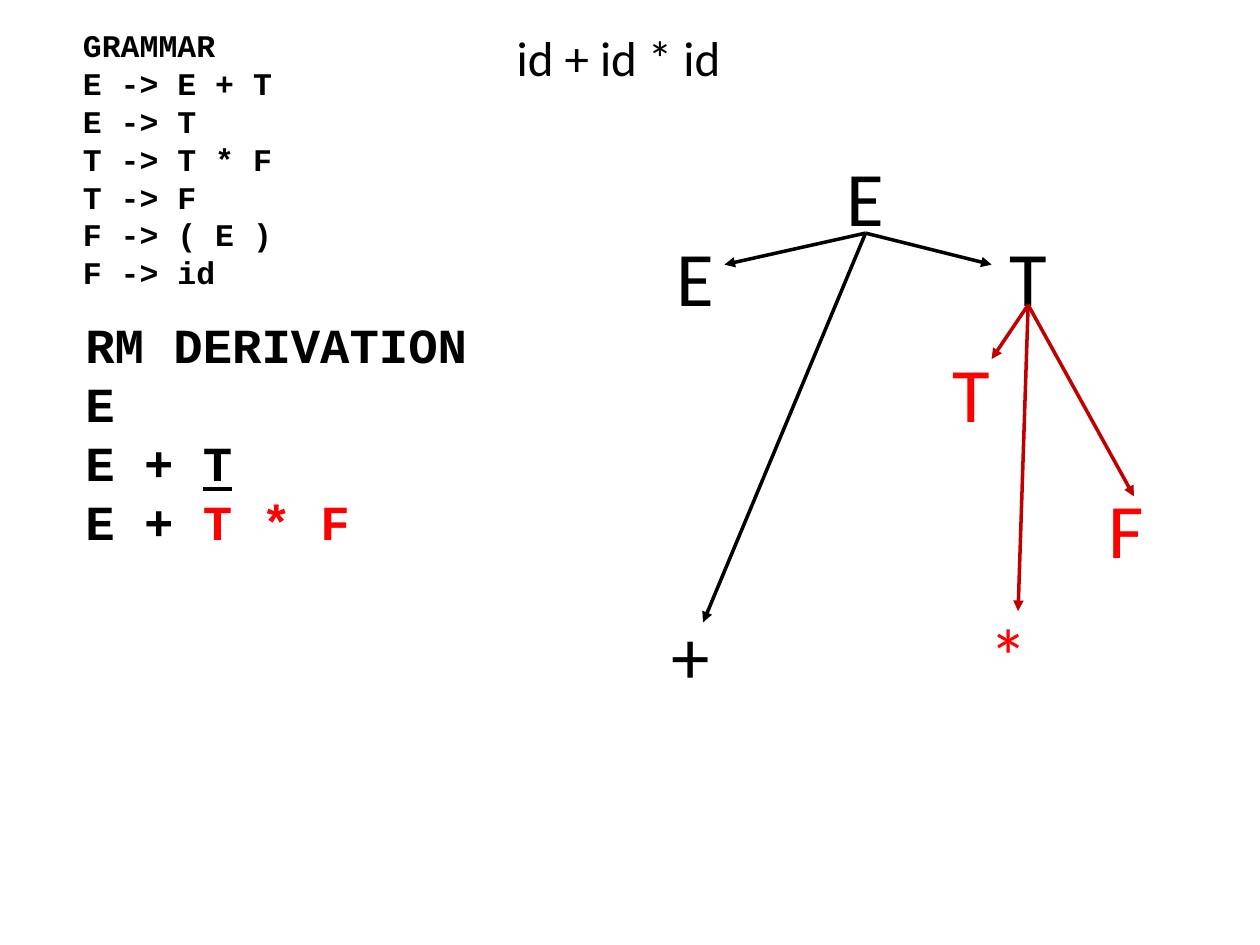
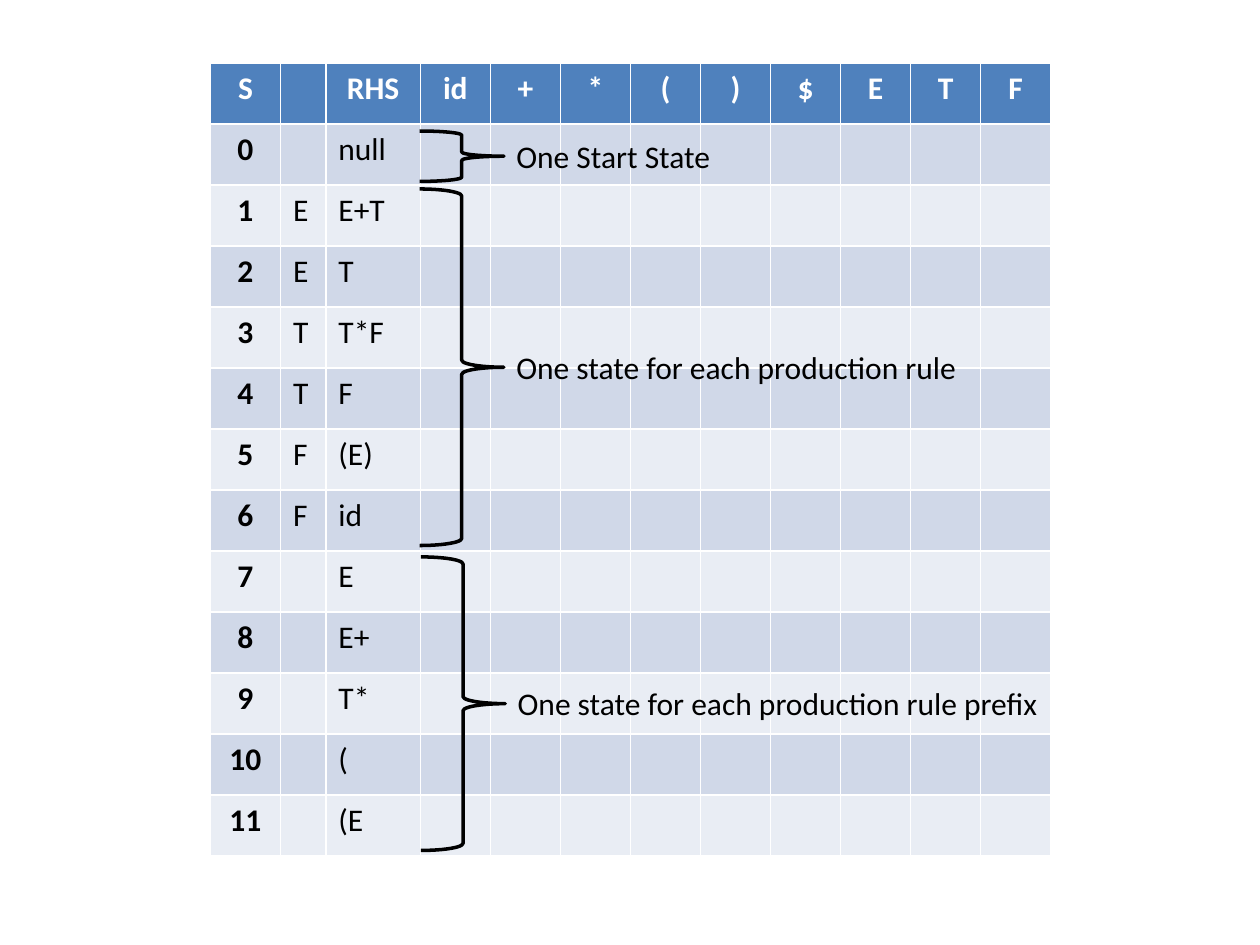
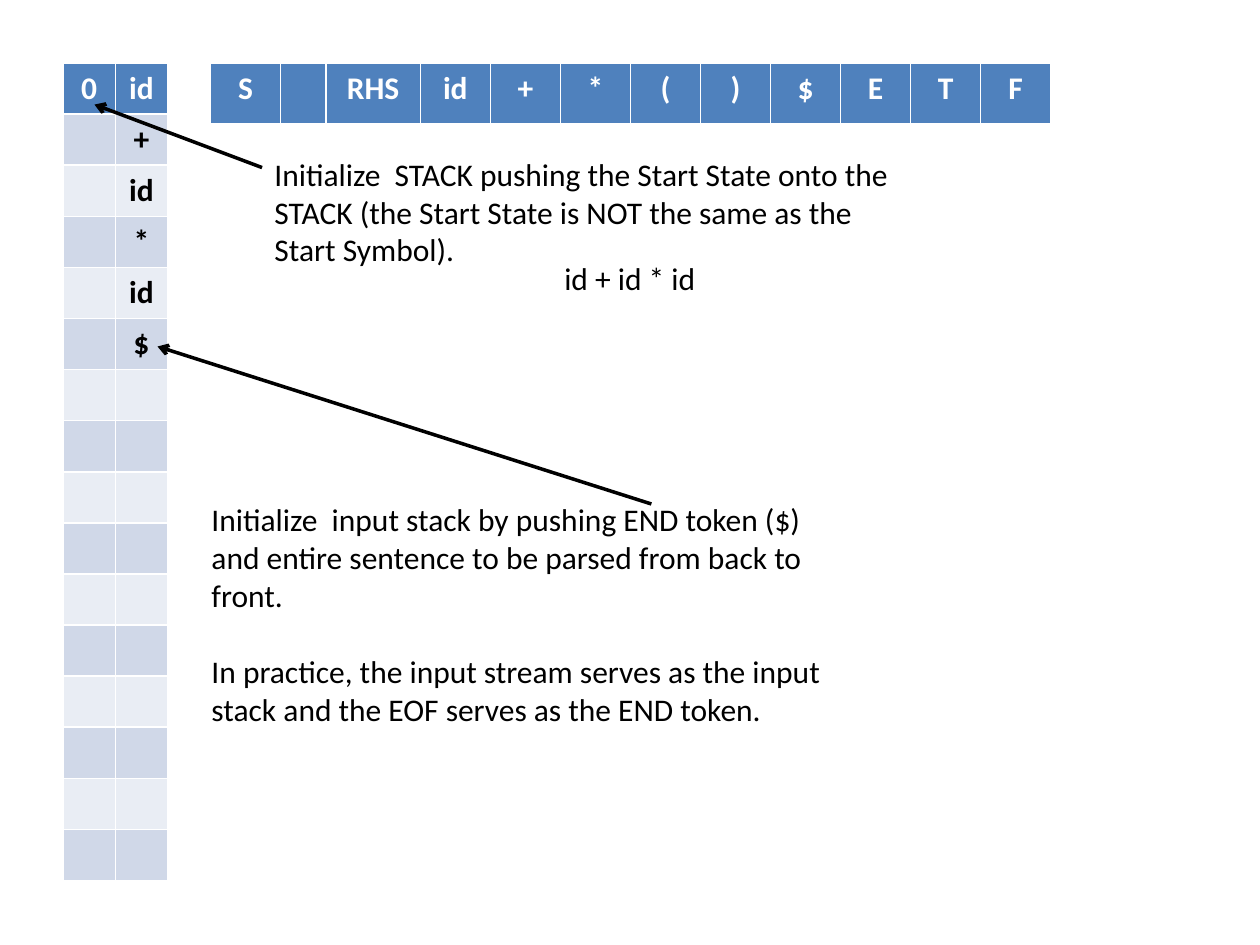
from pptx import Presentation
from pptx.dml.color import RGBColor
from pptx.enum.shapes import MSO_CONNECTOR, MSO_SHAPE
from pptx.enum.text import MSO_ANCHOR, MSO_AUTO_SIZE, PP_ALIGN
from pptx.oxml.ns import qn
from pptx.util import Inches, Pt
from lxml import etree

LINE = MSO_CONNECTOR.STRAIGHT
BRACE = MSO_SHAPE.RIGHT_BRACE
TOP = MSO_ANCHOR.TOP
GROW = MSO_AUTO_SIZE.SHAPE_TO_FIT_TEXT
LEFT, MID = PP_ALIGN.LEFT, PP_ALIGN.CENTER

BLACK = RGBColor(0, 0, 0)
WHITE = RGBColor(255, 255, 255)
RED = RGBColor(255, 0, 0)
CRIMSON = RGBColor(0xC0, 0, 0)
BLUE = RGBColor(0x4F, 0x81, 0xBD)
BANDS = (RGBColor(0xE9, 0xED, 0xF4), RGBColor(0xD0, 0xD8, 0xE8))

SANS, MONO = "Calibri", "Courier New"
TITLE_ONLY, BLANK = 5, 6

# Parse table: shared heading, place and column widths
HEAD = ["S", "", "RHS", "id", "+", "*", "(", ")", "$", "E", "T", "F"]
GRID_X, GRID_Y, GRID_W = 1.67, 0.5, 6.67
LHS_W, RHS_W = 0.36, 0.75
CELL_W = (GRID_W - LHS_W - RHS_W) / (len(HEAD) - 2)
GRID_COLS = [CELL_W, LHS_W, RHS_W] + [CELL_W] * (len(HEAD) - 3)
ROW_H = 6.3 / 13


def set_font(font, size, color=BLACK, name=SANS, bold=False):
    font.name, font.size, font.bold = name, Pt(size), bold
    font.color.rgb = color


def add_text(slide, box, lines, size=18, color=BLACK, name=SANS, bold=False,
             wrap=True, align=LEFT, gap=0):
    """Add a text box; a line is a string or a list of (text, style) parts."""
    frame = slide.shapes.add_textbox(*map(Inches, box)).text_frame
    frame.word_wrap, frame.auto_size = wrap, GROW
    for i, line in enumerate(lines):
        para = frame.add_paragraph() if i else frame.paragraphs[0]
        para.alignment = align
        if i and gap:
            para.space_before = Pt(gap)
        set_font(para.font, size, color, name, bold)
        parts = [(line, "")] if isinstance(line, str) else line
        for text, style in parts:
            run = para.add_run()
            run.text = text
            set_font(run.font, size, RED if style == "red" else color,
                     name, bold)
            if style == "under":
                run.font.underline = True


def add_arrow(slide, start, end, color=BLACK, head="triangle"):
    arrow = slide.shapes.add_connector(LINE, *map(Inches, start + end))
    arrow.line.color.rgb = color
    arrow.line.width = Pt(2)
    props = arrow._element.spPr
    tip = etree.SubElement(props.find(qn("a:ln")), qn("a:tailEnd"))
    tip.set("type", head)
    etree.SubElement(props, qn("a:effectLst"))


def add_brace(slide, *box):
    brace = slide.shapes.add_shape(BRACE, *map(Inches, box))
    brace.shadow.inherit = False
    brace.fill.background()
    brace.line.color.rgb = BLACK
    brace.line.width = Pt(2)


def add_grid(slide, left, top, cols, height, rows, keys):
    """Add a banded table; the columns in keys are bold and centred."""
    table = slide.shapes.add_table(
        len(rows), len(cols), Inches(left), Inches(top),
        Inches(sum(cols)), Inches(height * len(rows))).table
    for c, width in enumerate(cols):
        table.columns[c].width = Inches(width)
    for r, row in enumerate(rows):
        table.rows[r].height = Inches(height)
        for c, text in enumerate(row):
            cell = table.cell(r, c)
            cell.fill.solid()
            cell.fill.fore_color.rgb = BANDS[r % 2] if r else BLUE
            cell.text = text
            para = cell.text_frame.paragraphs[0]
            strong = r == 0 or c in keys
            para.alignment = MID if strong else LEFT
            set_font(para.font, 18, BLACK if r else WHITE, bold=strong)


def add_title(slide, box, text):
    title = slide.shapes.title
    title.left, title.top, title.width, title.height = map(Inches, box)
    frame = title.text_frame
    frame.text, frame.vertical_anchor = text, TOP
    frame.word_wrap, frame.auto_size = True, GROW
    frame.paragraphs[0].alignment = LEFT
    set_font(frame.paragraphs[0].font, 28)


def tree_slide(deck):
    slide = deck.slides.add_slide(deck.slide_layouts[TITLE_ONLY])
    add_title(slide, (4, 0.17, 2, 0.57), "id + id * id")

    # Tree nodes: centre, top, label, colour
    nodes = [(6.87, 1.14, "E", BLACK), (5.52, 1.77, "E", BLACK),
             (8.16, 1.77, "T", BLACK), (7.71, 2.69, "T", RED),
             (8.94, 3.77, "F", RED), (5.48, 4.77, "+", BLACK),
             (8.01, 4.77, "*", RED)]
    for mid, top, label, color in nodes:
        add_text(slide, (mid - 0.4, top, 0.8, 0.84), [label], 44, color,
                 align=MID)

    # Branches from each parent to its children
    branches = [
        ((6.87, 1.85), BLACK, [(5.58, 4.94), (5.75, 2.1), (7.87, 2.1)]),
        ((8.16, 2.42), CRIMSON, [(8.08, 4.85), (7.87, 2.85), (9, 3.94)])]
    for root, color, ends in branches:
        for end in ends:
            add_arrow(slide, root, end, color)

    # Derivation and grammar
    steps = ["RM DERIVATION", "E", [("E + ", ""), ("T", "under")],
             [("E + ", ""), ("T * F", "red")]]
    add_text(slide, (0.58, 2.45, 3.26, 1.99), steps, 28, name=MONO,
             bold=True, wrap=False)
    rules = ["GRAMMAR", "E -> E + T", "E -> T", "T -> T * F", "T -> F",
             "F -> ( E )", "F -> id"]
    add_text(slide, (0.56, 0.16, 1.71, 2.52), rules, name=MONO,
             bold=True, wrap=False)


def state_slide(deck):
    slide = deck.slides.add_slide(deck.slide_layouts[BLANK])
    left = ["", "E", "E", "T", "T", "F", "F"] + [""] * 5
    right = ["null", "E+T", "T", "T*F", "F", "(E)", "id",
             "E", "E+", "T*", "(", "(E"]
    blanks = [""] * (len(HEAD) - 3)
    rows = [[str(n), lhs, rhs] + blanks
            for n, (lhs, rhs) in enumerate(zip(left, right))]
    add_grid(slide, GRID_X, GRID_Y, GRID_COLS, ROW_H, [HEAD] + rows, {0})

    # Groups of states: brace left, top, height; note top, width, text
    groups = [
        (3.33, 1.5, 2.83, 2.71, 3.74, "One state for each production rule"),
        (3.34, 4.42, 2.33, 5.38, 4.38,
         "One state for each production rule prefix"),
        (3.33, 1.04, 0.4, 1.04, 1.76, "One Start State")]
    for x, y, high, note_y, wide, note in groups:
        add_brace(slide, x, y, 0.67, high)
        add_text(slide, (x + 0.67, note_y, wide, 0.4), [note], wrap=False)


def stack_slide(deck):
    slide = deck.slides.add_slide(deck.slide_layouts[BLANK])
    add_grid(slide, GRID_X, GRID_Y, GRID_COLS, ROW_H, [HEAD], {0})

    # State stack beside the input stack
    tokens = ["id", "+", "id", "*", "id", "$"] + [""] * 10
    rows = [["" if n else "0", token] for n, token in enumerate(tokens)]
    add_grid(slide, 0.5, GRID_Y, [0.415] * 2, 0.4, rows, {0, 1})

    # Notes and their arrows
    add_text(slide, (4.38, 2.01, 1.29, 0.4), ["id + id * id"])
    add_arrow(slide, (2.08, 1.33), (0.75, 0.83), head="arrow")
    add_arrow(slide, (5.17, 4), (1.25, 2.75), head="arrow")
    add_text(slide, (1.58, 3.92, 5.21, 1.92), [
        "Initialize  input stack by pushing END token ($) and entire "
        "sentence to be parsed from back to front. ",
        "In practice, the input stream serves as the input stack and the "
        "EOF serves as the END token."], gap=22)
    add_text(slide, (2.08, 1.18, 5.21, 1.01), [
        "Initialize  STACK pushing the Start State onto the STACK (the "
        "Start State is NOT the same as the Start Symbol)."])


def main():
    deck = Presentation()
    deck.slide_width, deck.slide_height = Inches(10), Inches(7.5)
    tree_slide(deck)
    state_slide(deck)
    stack_slide(deck)
    deck.save("out.pptx")


main()
